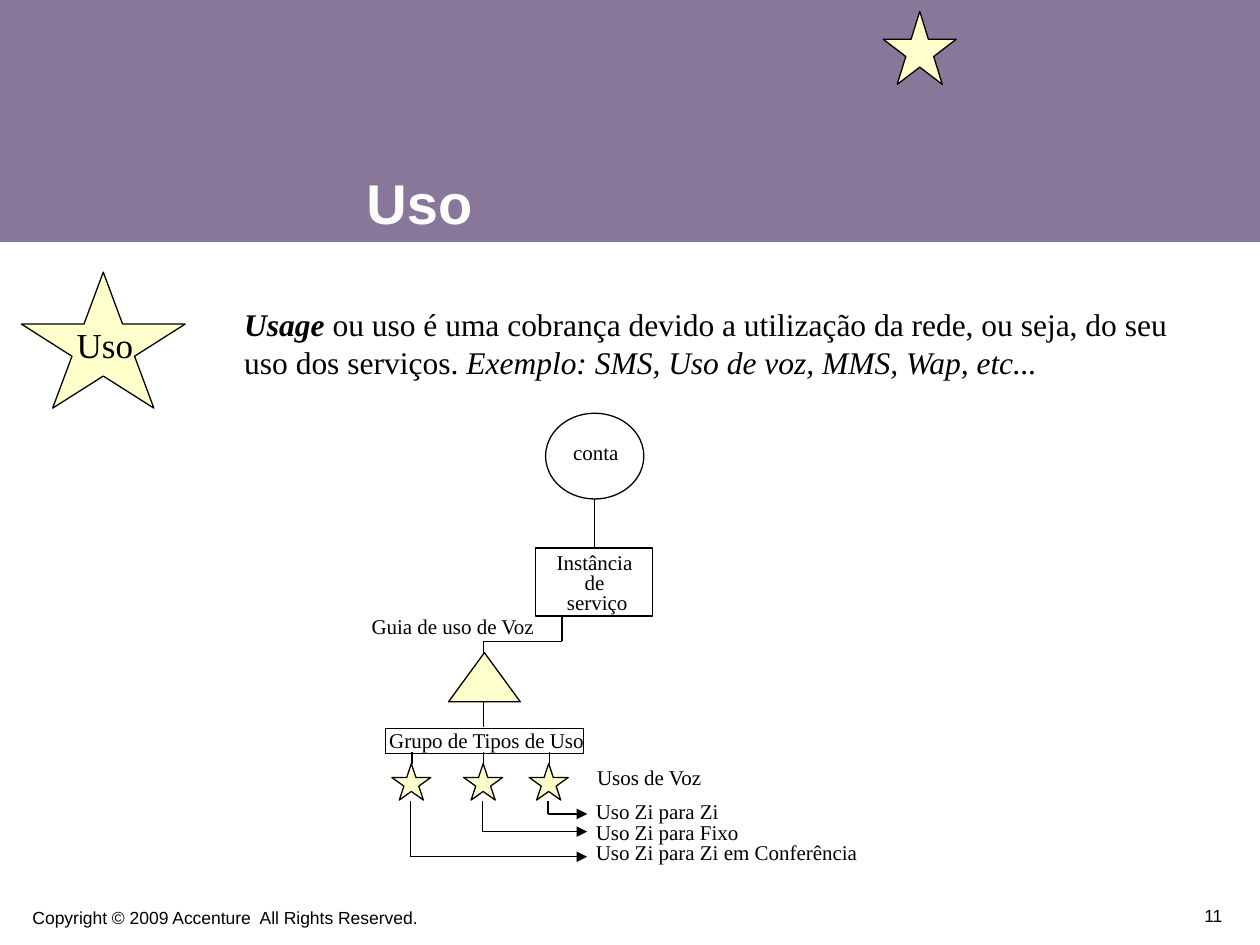
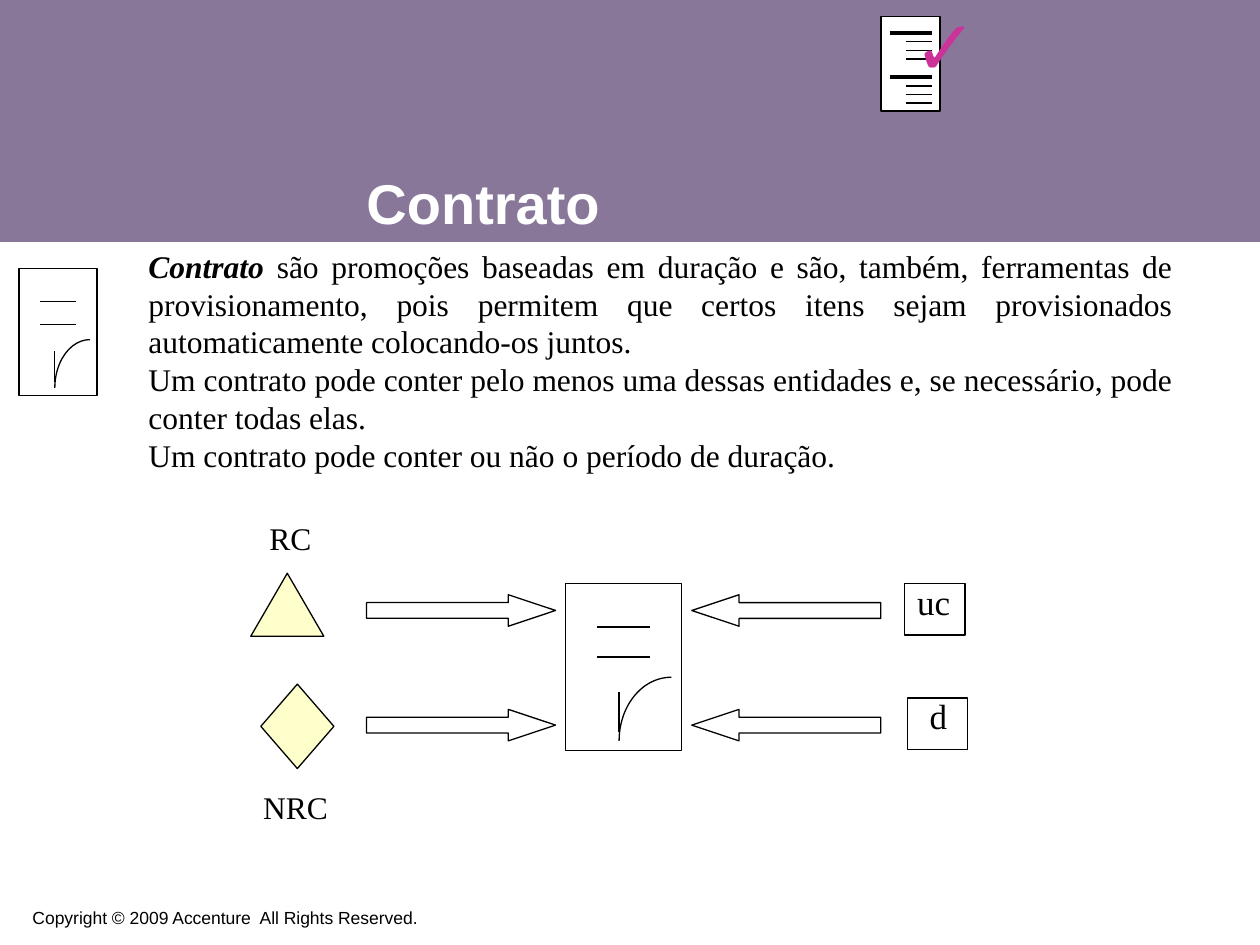
from lxml import etree
from pptx import Presentation
from pptx.dml.color import RGBColor
from pptx.enum.shapes import MSO_CONNECTOR, MSO_SHAPE
from pptx.enum.text import MSO_ANCHOR, PP_ALIGN
from pptx.oxml.ns import qn
from pptx.util import Inches, Pt

LINE = MSO_CONNECTOR.STRAIGHT
RECT = MSO_SHAPE.RECTANGLE
OVAL = MSO_SHAPE.OVAL
STAR = MSO_SHAPE.STAR_5_POINT
CONE = MSO_SHAPE.FLOWCHART_EXTRACT
GEM = MSO_SHAPE.DIAMOND
ARROW = MSO_SHAPE.RIGHT_ARROW
ARC = MSO_SHAPE.ARC
LEFT, MID, RIGHT, FULL = PP_ALIGN.LEFT, PP_ALIGN.CENTER, PP_ALIGN.RIGHT, PP_ALIGN.JUSTIFY
TOP, LOW = MSO_ANCHOR.TOP, MSO_ANCHOR.BOTTOM
SANS, SERIF = "Arial", "Times New Roman"
BLACK, WHITE, PLUM, CREAM, PINK = "000000", "FFFFFF", "887799", "FFFFCC", "CC3399"
hue = RGBColor.from_string


def text(slide, paras, box, size=12, font=SERIF, color=BLACK, bold=False,
         align=LEFT, anchor=TOP, wrap=False, space=0.8, inset=True):
    frame = slide.shapes.add_textbox(*map(Inches, box)).text_frame
    frame.word_wrap = wrap
    frame.vertical_anchor = anchor
    if not inset:
        frame.margin_left = frame.margin_right = 0
        frame.margin_top = frame.margin_bottom = 0
    for i, para in enumerate(paras):
        p = frame.paragraphs[0] if i == 0 else frame.add_paragraph()
        p.alignment = align
        p.line_spacing = space
        for part in [(para, "")] if isinstance(para, str) else para:
            words, mark = part
            run = p.add_run()
            run.text = words
            run.font.name = font
            run.font.size = Pt(size)
            run.font.color.rgb = hue(color)
            run.font.bold = bold or "b" in mark
            run.font.italic = "i" in mark


def draw(slide, kind, box, fill=None, edge=BLACK, width=0.75, tip=False):
    if kind is LINE:
        item = slide.shapes.add_connector(kind, *map(Inches, box))
    else:
        item = slide.shapes.add_shape(kind, *map(Inches, box))
        item.shadow.inherit = False
        if fill:
            item.fill.solid()
            item.fill.fore_color.rgb = hue(fill)
        else:
            item.fill.background()
    if edge:
        item.line.color.rgb = hue(edge)
        item.line.width = Pt(width)
    else:
        item.line.fill.background()
    if kind is LINE:
        if tip:
            etree.SubElement(item.line._get_or_add_ln(), qn("a:tailEnd"), type="triangle")
        etree.SubElement(item._element.spPr, qn("a:effectLst"))
    return item


deck = Presentation()
deck.slide_width, deck.slide_height = Inches(10), Inches(7.5)

pages = []
for title in ["Uso", "Contrato"]:
    page = deck.slides.add_slide(deck.slide_layouts[6])
    draw(page, RECT, (0, 0, 10, 1.92), fill=PLUM, edge=None)
    text(page, ["Copyright © 2009 Accenture  All Rights Reserved."],
         (0.16, 7.18, 3.27, 0.24), size=10, font=SANS)
    text(page, [title], (2.81, 0.67, 4.88, 1.25), size=32, font=SANS,
         color=WHITE, bold=True, anchor=LOW, wrap=True, space=1)
    pages.append(page)
usage, deal = pages

text(usage, ["11"], (7.95, 7.11, 1.85, 0.29), size=10, font=SANS,
     align=RIGHT, anchor=LOW, wrap=True)
draw(usage, STAR, (0.17, 2.16, 1.3, 1.08), fill=CREAM)
draw(usage, STAR, (7.01, 0.09, 0.58, 0.58), fill=CREAM)
text(usage, ["Uso"], (0.51, 2.58, 0.65, 0.37), size=20)
text(usage, [
    [("Usage ", "bi"),
     ("ou uso é uma cobrança devido a utilização da rede, ou seja, do seu", "")],
    [("uso dos serviços. ", ""),
     ("Exemplo: SMS, Uso de voz, MMS, Wap, etc...", "i")],
], (1.84, 2.37, 7.53, 0.7), size=18, align=FULL, space=1)

draw(usage, OVAL, (4.33, 3.28, 0.78, 0.68))
draw(usage, RECT, (4.25, 4.35, 0.93, 0.54))
draw(usage, CONE, (3.56, 5.18, 0.57, 0.39), fill=CREAM)
draw(usage, RECT, (3.06, 5.78, 1.57, 0.2))
for ends in [
    (4.72, 3.96, 4.72, 4.35),
    (4.46, 4.89, 4.46, 5.09),
    (4.46, 5.09, 3.84, 5.09),
    (3.84, 5.09, 3.84, 5.18),
    (3.84, 5.57, 3.84, 5.77),
]:
    draw(usage, LINE, ends)

for x, y in [(4.36, 6.46), (3.84, 6.6), (3.27, 6.8)]:
    draw(usage, LINE, (x, 5.97, x, 6.06))
    draw(usage, STAR, (x - 0.16, 6.06, 0.31, 0.29), fill=CREAM)
    draw(usage, LINE, (x - 0.01, 6.36, x - 0.01, y))
    draw(usage, LINE, (x - 0.01, y, 4.66, y), tip=True)

text(usage, ["conta"], (4.45, 3.48, 0.56, 0.26))
text(usage, ["Instância ", "de ", "serviço"], (4.32, 4.35, 0.84, 0.58), align=MID)
text(usage, ["Guia de uso de Voz"], (2.85, 4.86, 1.51, 0.26))
text(usage, ["Grupo de Tipos de Uso"], (2.99, 5.76, 1.81, 0.26), wrap=True)
text(usage, ["Usos de Voz"], (4.64, 6.06, 1.05, 0.26))
text(usage, ["Uso Zi para Zi", "Uso Zi para Fixo", "Uso Zi para Zi em Conferência"],
     (4.63, 6.33, 2.31, 0.58))

text(deal, [
    [("Contrato ", "bi"),
     ("são promoções baseadas em duração e são, também, ferramentas de "
      "provisionamento, pois permitem que certos itens sejam provisionados "
      "automaticamente colocando-os juntos.", "")],
    "Um contrato pode conter pelo menos uma dessas entidades e, se necessário, "
    "pode conter todas elas.",
    "Um contrato pode conter ou não o período de duração.",
], (1.08, 1.91, 8.33, 1.9), size=18, align=FULL, wrap=True, space=1)

for x, y, w, h in [(0.15, 2.13, 0.62, 1.01), (4.49, 4.63, 0.92, 1.33)]:
    draw(deal, RECT, (x, y, w, h))
    for part in [0.26, 0.44]:
        draw(deal, LINE, (x + 0.27 * w, y + part * h, x + 0.73 * w, y + part * h))
    stem = x + 0.46 * w
    draw(deal, LINE, (stem, y + 0.89 * h, stem, y + 0.65 * h))
    curve = draw(deal, ARC, (stem, y + 0.56 * h, 0.9 * w, 0.76 * h))
    curve.adjustments[0] = 108
    curve.adjustments[1] = 162

draw(deal, CONE, (1.99, 4.55, 0.58, 0.5), fill=CREAM)
draw(deal, GEM, (2.07, 5.43, 0.58, 0.67), fill=CREAM)
for y in [4.72, 5.63]:
    for x, turn in [(2.91, 0), (5.49, 180)]:
        arrow = draw(deal, ARROW, (x, y, 1.5, 0.25))
        arrow.adjustments[1] = 1.5
        arrow.rotation = turn
draw(deal, RECT, (7.18, 4.63, 0.48, 0.41))
draw(deal, RECT, (7.2, 5.54, 0.48, 0.41))
text(deal, ["uc"], (7.18, 4.62, 0.46, 0.37), size=20)
text(deal, ["d"], (7.28, 5.53, 0.34, 0.37), size=20)
text(deal, ["RC"], (2.04, 4.13, 0.6, 0.34), size=18, wrap=True)
text(deal, ["NRC"], (1.99, 6.26, 0.8, 0.34), size=18, wrap=True)

draw(deal, RECT, (6.99, 0.13, 0.47, 0.75), fill=WHITE, width=1)
for y in [0.26, 0.61]:
    draw(deal, LINE, (7.06, y, 7.4, y), width=2)
    for i in range(1, 4):
        row = y + 0.07 * i
        draw(deal, LINE, (7.19, row, 7.4, row), width=1)
text(deal, ["✓"], (7.25, 0.13, 0.17, 0.59), size=44, font=SANS, color=PINK,
     bold=True, wrap=True, inset=False)

deck.save("out.pptx")
